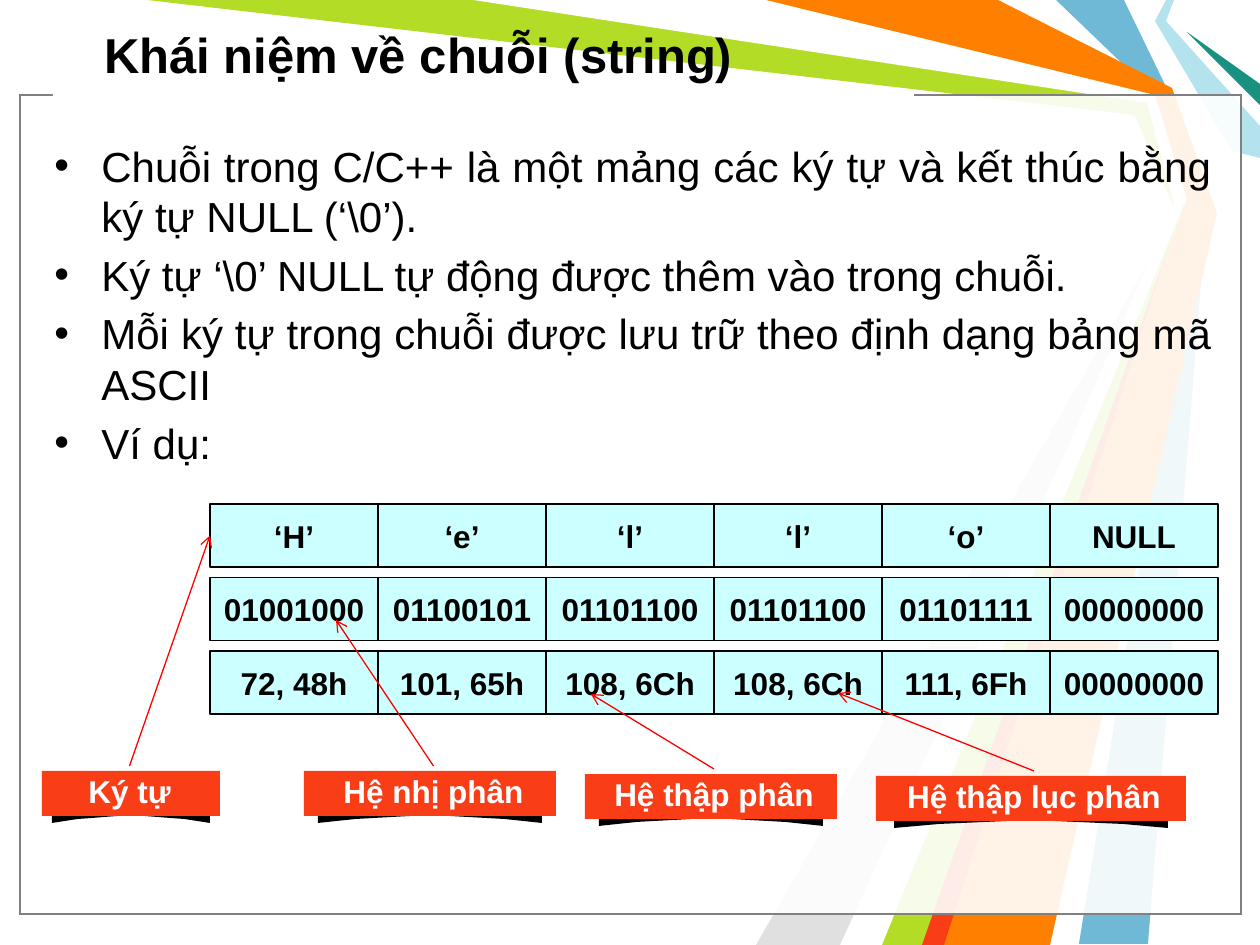
"""Builds the slide that introduces strings in C/C++."""
from lxml import etree
from pptx import Presentation
from pptx import util as u
from pptx.dml.color import RGBColor
from pptx.enum import shapes, text
from pptx.oxml.ns import qn

PX = 914400 / 126
FONT = "Arial"
COLORS = {
    "black": "000000", "white": "FFFFFF", "cell": "CCFFFF", "arrow": "FF0000",
    "frame": "808080", "blue": "6FB9D7", "green": "B3DC27", "silver": "E0E0E0",
    "sky": "B4E3EE", "teal": "189180", "orange": "FF7F00", "red": "F93D17",
}
RAYS = [
    ("blue", [(1124, 0), (1171, 97), (1207, 210), (1148, 944),
              (1079, 944), (1197, 210), (1155, 95), (1056, 0)]),
    ("green", [(147, 0), (483, 0), (1152, 98), (1187, 213),
               (935, 945), (872, 945), (1178, 218), (1135, 115)]),
    ("silver", [(840, 945), (1168, 228), (756, 945)]),
    ("white", [(473, 0), (1147, 103), (1174, 204), (851, 945),
               (882, 945), (1186, 199), (1155, 95), (756, 0)]),
    ("sky", [(1166, 0), (1155, 21), (1232, 151), (1260, 158),
             (1260, 126), (1166, 21), (1174, 0)]),
    ("teal", [(1260, 105), (1187, 32), (1260, 84)]),
    ("orange", [(766, 0), (998, 0), (1172, 88), (1217, 213),
                (1050, 945), (924, 945), (1187, 199), (1155, 95)]),
    ("red", [(922, 945), (1174, 231), (944, 945)]),
]
TITLE = "Khái niệm về chuỗi (string)"
POINTS = [
    "Chuỗi trong C/C++ là một mảng các ký tự và kết thúc bằng ký tự NULL (‘\\0’).",
    "Ký tự ‘\\0’ NULL tự động được thêm vào trong chuỗi.",
    "Mỗi ký tự trong chuỗi được lưu trữ theo định dạng bảng mã ASCII",
    "Ví dụ:",
]
MEMORY = [
    ["‘H’", "‘e’", "‘l’", "‘l’", "‘o’", "NULL"],
    ["01001000", "01100101", "01101100", "01101100", "01101111", "00000000"],
    ["72, 48h", "101, 65h", "108, 6Ch", "108, 6Ch", "111, 6Fh", "00000000"],
]
BANNERS = [
    ("Ký tự", (48, 766, 163), 178, (210, 536)),
    ("Hệ nhị phân", (310, 766, 247), 252, (336, 620)),
    ("Hệ thập phân", (591, 769, 246), 252, (591, 694)),
    ("Hệ thập lục phân", (882, 771, 304), 310, (838, 693)),
]


def px(*lengths):
    """Turn px into EMU."""
    return [u.Emu(round(length * PX)) for length in lengths]


def rgb(name):
    """Look up a named colour."""
    return RGBColor.from_string(COLORS[name])


def paint(shape, fill, line=None):
    """Set flat fill and outline."""
    shape.shadow.inherit = False
    shape.fill.solid()
    shape.fill.fore_color.rgb = rgb(fill)
    if line:
        shape.line.color.rgb = rgb(line)
        shape.line.width = u.Pt(0.75)
    else:
        shape.line.fill.background()
    return shape


def add_block(slide, box, fill, line=None):
    """Add a rectangle."""
    block = slide.shapes.add_shape(shapes.MSO_SHAPE.RECTANGLE, *px(*box))
    return paint(block, fill, line)


def add_outline(slide, corners, fill):
    """Add a closed polygon."""
    builder = slide.shapes.build_freeform(*corners[0], scale=PX)
    builder.add_line_segments(corners[1:], close=True)
    return paint(builder.convert_to_shape(), fill)


def write(paragraph, words, size, color="black", bold=True, align=text.PP_ALIGN.CENTER):
    """Fill a paragraph with formatted words."""
    paragraph.text = words
    paragraph.alignment = align
    style = {"name": FONT, "size": u.Pt(size), "bold": bold}
    for attribute, value in style.items():
        setattr(paragraph.font, attribute, value)
    paragraph.font.color.rgb = rgb(color)


def add_caption(slide, box, **frame_style):
    """Add a wrapping text box."""
    caption = slide.shapes.add_textbox(*px(*box))
    for attribute, value in {"word_wrap": True, **frame_style}.items():
        setattr(caption.text_frame, attribute, value)
    return caption


def add_background(slide):
    """Draw the coloured rays, the veiled panel and the title gap."""
    for color, corners in RAYS:
        add_outline(slide, corners, color)
    for line in ("black", "frame"):
        panel = add_block(slide, (20, 95, 1221, 819), "white", line)
        tint = panel.fill._xPr.find(qn("a:solidFill"))[0]
        etree.SubElement(tint, qn("a:alpha"), val="69000")
    add_block(slide, (53, 93, 861, 21), "white")


def add_points(slide):
    """Write the bulleted explanation."""
    frame = add_caption(slide, (42, 126, 1182, 777), margin_top=px(14)[0]).text_frame
    for index, point in enumerate(POINTS):
        paragraph = frame.add_paragraph() if index else frame.paragraphs[0]
        properties = paragraph._p.get_or_add_pPr()
        indent = px(47)[0]
        properties.set("marL", str(indent))
        properties.set("indent", str(-indent))
        etree.SubElement(properties, qn("a:buFont"), typeface=FONT)
        etree.SubElement(properties, qn("a:buChar"), char="•")
        write(paragraph, point, 24, bold=False, align=text.PP_ALIGN.JUSTIFY)
        if index:
            paragraph.space_before = u.Pt(4.8)


def add_memory(slide):
    """Draw the memory cells and return the first one."""
    cells = []
    for row, values in enumerate(MEMORY):
        for column, value in enumerate(values):
            box = (210 + 168 * column, 504 + 73.5 * row, 168, 63)
            cell = add_block(slide, box, "cell", "black")
            cell.text_frame.word_wrap = False
            cell.text_frame.vertical_anchor = text.MSO_ANCHOR.MIDDLE
            write(cell.text_frame.paragraphs[0], value, 18)
            cells.append(cell)
    return cells[0]


def add_banner(slide, words, place, width, target):
    """Add a banner with curled shadow, label and arrow, and return the arrow."""
    left, top, label_width = place
    banner_left, banner_top = left - 6, top + 5
    middle, reach = banner_left + width / 2, width * 0.443
    steps = [step / 6 for step in range(6, -7, -1)]
    curl = [(middle + reach * step, banner_top + 45 + 7 * step ** 2) for step in steps]
    crest = [(middle + reach * side, banner_top + 29 + 6 * abs(side)) for side in (-1, 0, 1)]
    add_outline(slide, [(round(x), round(y)) for x, y in curl + crest], "black")
    add_block(slide, (banner_left, banner_top, width, 45), "red")
    label = add_caption(slide, (left, top, label_width, 50))
    write(label.text_frame.paragraphs[0], words, 18, "white")

    start = (left + label_width / 2, top)
    arrow = slide.shapes.add_connector(shapes.MSO_CONNECTOR.STRAIGHT, *px(*start, *target))
    arrow.begin_connect(label, 0)
    arrow.line.color.rgb = rgb("arrow")
    arrow.line.width = u.Pt(0.75)
    etree.SubElement(arrow.line._get_or_add_ln(), qn("a:tailEnd"), type="arrow")
    etree.SubElement(arrow._element.spPr, qn("a:effectLst"))
    return arrow


def main():
    """Build and save the slide."""
    deck = Presentation()
    deck.slide_width, deck.slide_height = px(1260, 945)
    slide = deck.slides.add_slide(deck.slide_layouts[6])
    add_background(slide)
    title = add_caption(slide, (92, 10, 1148, 87), vertical_anchor=text.MSO_ANCHOR.MIDDLE)
    write(title.text_frame.paragraphs[0], TITLE, 28, align=text.PP_ALIGN.LEFT)
    add_points(slide)
    first_cell = add_memory(slide)
    arrows = [add_banner(slide, *banner) for banner in BANNERS]
    arrows[0].end_connect(first_cell, 1)
    deck.save("out.pptx")


if __name__ == "__main__":
    main()
